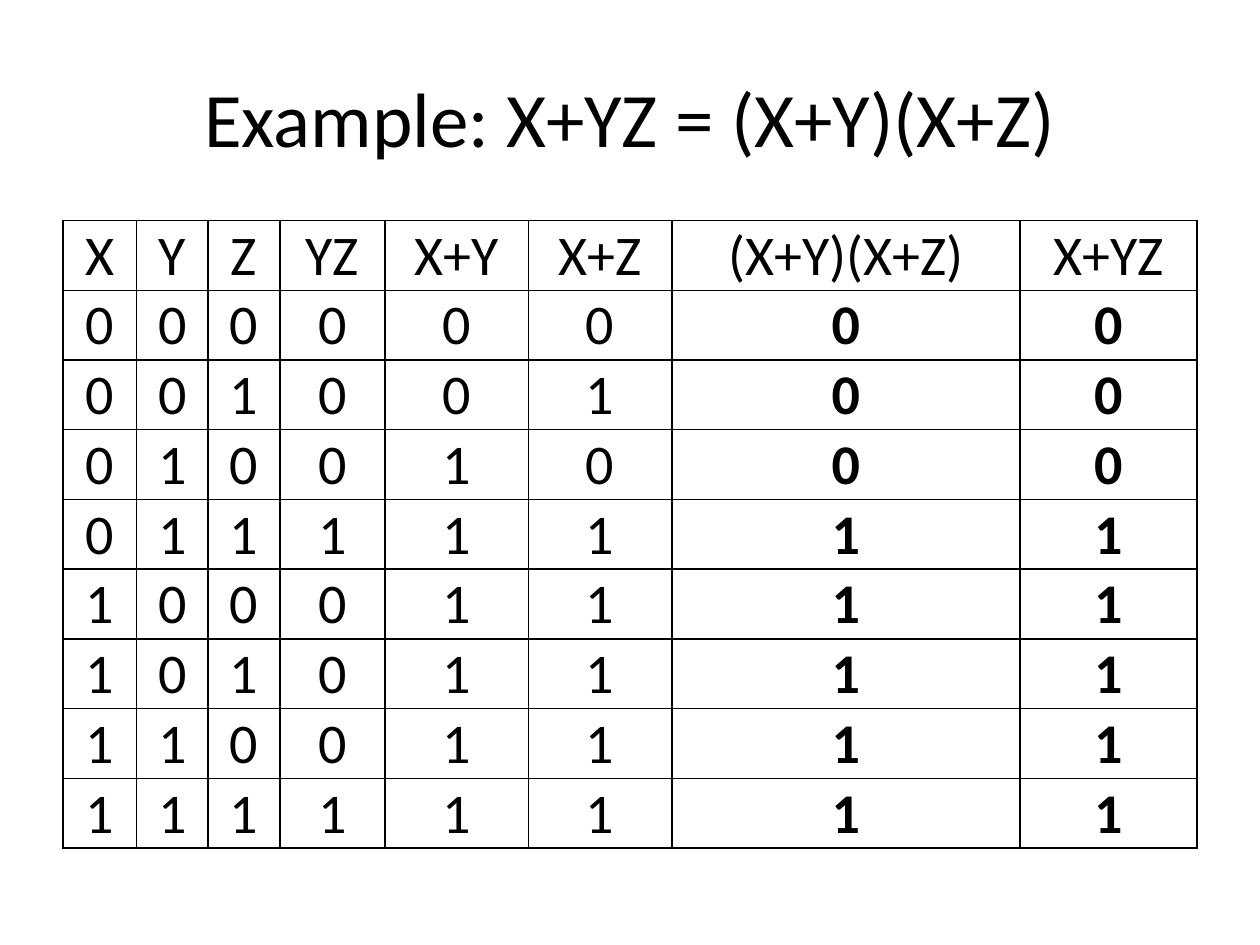
from itertools import product

from lxml.etree import SubElement
from pptx import Presentation
from pptx.dml.color import RGBColor
from pptx.enum.text import MSO_ANCHOR as Anchor, PP_ALIGN as Align
from pptx.oxml.ns import qn
from pptx.util import Pt

BLACK = "000000"


def add_text(frame, text, size, bold=False):
    paragraph = frame.paragraphs[0]
    paragraph.alignment = Align.CENTER
    run = paragraph.add_run()
    run.text = text
    run.font.name = "Calibri"
    run.font.size = Pt(size)
    run.font.bold = bold
    run.font.color.rgb = RGBColor.from_string(BLACK)


def add_borders(cell):
    properties = cell._tc.get_or_add_tcPr()
    for side in ("a:lnL", "a:lnR", "a:lnT", "a:lnB"):
        line = SubElement(properties, qn(side), w=str(Pt(1)))
        fill = SubElement(line, qn("a:solidFill"))
        SubElement(fill, qn("a:srgbClr"), val=BLACK)


presentation = Presentation()
presentation.slide_width, presentation.slide_height = Pt(720), Pt(540)
slide = presentation.slides.add_slide(presentation.slide_layouts[5])

# Title
title = slide.shapes.title
title.left, title.top, title.width, title.height = Pt(36), Pt(21.6), Pt(648), Pt(90)
title.text_frame.vertical_anchor = Anchor.MIDDLE
add_text(title.text_frame, "Example: X+YZ = (X+Y)(X+Z)", 44)

# Truth table values
rows = [["X", "Y", "Z", "YZ", "X+Y", "X+Z", "(X+Y)(X+Z)", "X+YZ"]]
for x, y, z in product((0, 1), repeat=3):
    rows.append([x, y, z, y & z, x | y, x | z, (x | y) & (x | z), x | (y & z)])

# Table grid
column_widths = [42, 41, 41, 60, 82, 82, 199, 101]
row_height = 39.87
table = slide.shapes.add_table(
    len(rows), len(column_widths), Pt(36), Pt(126),
    Pt(sum(column_widths)), Pt(row_height * len(rows))).table
table.first_row = table.horz_banding = False
for column, width in zip(table.columns, column_widths):
    column.width = Pt(width)

# Cells: the two compared results are bold
for row_index, values in enumerate(rows):
    table.rows[row_index].height = Pt(row_height)
    for column_index, value in enumerate(values):
        cell = table.cell(row_index, column_index)
        cell.margin_left = cell.margin_right = Pt(2.9)
        cell.margin_top, cell.margin_bottom = Pt(0.7), Pt(0)
        cell.vertical_anchor = Anchor.BOTTOM
        add_borders(cell)
        cell.fill.background()
        add_text(cell.text_frame, str(value), 32, row_index > 0 and column_index >= 6)

presentation.save("out.pptx")
